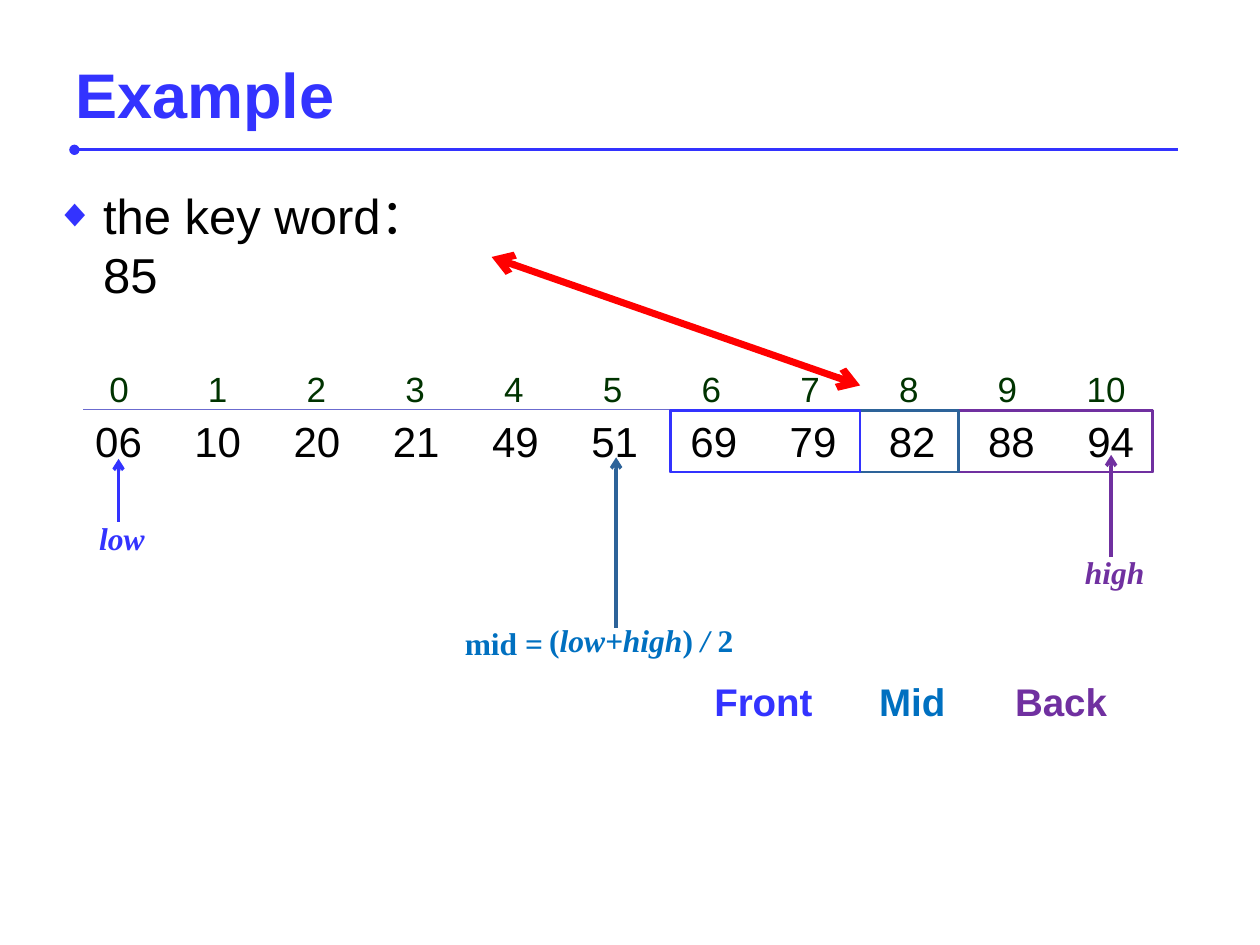
from lxml.etree import SubElement
from pptx import Presentation
from pptx.dml.color import RGBColor
from pptx.enum.shapes import MSO_CONNECTOR as Link, MSO_SHAPE as Shape
from pptx.enum.text import MSO_ANCHOR as Anchor, MSO_AUTO_SIZE as Fit, PP_ALIGN as Align
from pptx.oxml.ns import qn
from pptx.util import Cm, Pt

# Content
TITLE = "Example"
KEY_WORD = "the key word：85"
VALUES = ["06", "10", "20", "21", "49", "51", "69", "79", "82", "88", "94"]

THEME = {
    "sans": "Arial", "serif": "Times New Roman",
    "blue": "3333FF", "purple": "7030A0", "steel": "2D6399", "sky": "0070C0",
    "green": "003300", "rule": "6B6BCF", "red": "FF0000", "black": "000000",
    "title": 36, "body": 28, "value": 24, "index": 20, "region": 22, "pointer": 18,
}

# Lengths in cm
ROW_TOP, ROW_HEIGHT = 8.28, 1.24
RULE_LEFT, RULE_RIGHT, RULE_TOP = 1.68, 23.24, 8.25
VALUE_CENTER, VALUE_STEP = 2.41, 2.0
INDEX_CENTER, INDEX_STEP = 2.4, 1.99
FRONT_LEFT, MID_LEFT, BACK_LEFT = 13.52, 17.34, 19.33

# Left, right, colour of each outline
REGIONS = [
    (BACK_LEFT, RULE_RIGHT, "purple"),
    (FRONT_LEFT, RULE_RIGHT, "purple"),
    (MID_LEFT, BACK_LEFT, "steel"),
    (FRONT_LEFT, MID_LEFT, "blue"),
]
REGION_NAMES = [("Front", "blue"), ("Mid", "sky"), ("Back", "purple")]
# x, bottom, tip, colour
POINTERS = [
    (2.39, 10.52, 9.25, "blue"),
    (22.4, 11.23, 9.17, "purple"),
    (12.42, 12.65, 9.22, "steel"),
]
# Box, colour, (text, italic) spans
POINTER_LABELS = [
    ((1.75, 10.34, 1.47, 1.02), "blue", [("low", True)]),
    ((21.62, 11.02, 1.73, 1.02), "purple", [("high", True)]),
    ((10.82, 12.4, 4.27, 1.02), "sky",
     [("(", False), ("low+high", True), (") ", False), ("/ ", True), ("2", False)]),
    ((9.12, 12.45, 2.26, 1.02), "sky", [("mid =", False)]),
]

deck = Presentation()
deck.slide_width, deck.slide_height = Cm(25.4), Cm(19.05)
page = deck.slides.add_slide(deck.slide_layouts[6])


def color(name):
    return RGBColor.from_string(THEME[name])


def style_font(font, size, tint, face="sans", **flags):
    for name, value in {"name": THEME[face], "size": Pt(THEME[size]), **flags}.items():
        setattr(font, name, value)
    font.color.rgb = color(tint)


def add_text(place, spans, size, tint, face="sans", bold=False, align=Align.LEFT, **frame_format):
    box = page.shapes.add_textbox(*map(Cm, place))
    for name, value in {"word_wrap": True, **frame_format}.items():
        setattr(box.text_frame, name, value)
    para = box.text_frame.paragraphs[0]
    para.alignment = align
    for text, italic in spans:
        span = para.add_run()
        span.text = text
        style_font(span.font, size, tint, face, bold=bold, italic=italic)
    return para


def add_line(start, end, tint, width, head=None, tail=None):
    line = page.shapes.add_connector(Link.STRAIGHT, *map(Cm, (*start, *end)))
    line.line.color.rgb = color(tint)
    line.line.width = Pt(width)
    outline = line.line._get_or_add_ln()
    for tag, kind in (("a:headEnd", head), ("a:tailEnd", tail)):
        if kind:
            SubElement(outline, qn(tag), type=kind)
    SubElement(line._element.spPr, qn("a:effectLst"))


def add_outline(left, right, tint):
    rect = page.shapes.add_shape(
        Shape.RECTANGLE, *map(Cm, (left, ROW_TOP, right - left, ROW_HEIGHT)))
    rect.shadow.inherit = False
    rect.fill.background()
    rect.line.color.rgb = color(tint)
    rect.line.width = Pt(1.5)


def add_bullet(para, char, tint, percent, indent):
    props = para._p.get_or_add_pPr()
    props.set("marL", str(Cm(indent)))
    props.set("indent", str(-Cm(indent)))
    bullet_color = SubElement(props, qn("a:buClr"))
    SubElement(bullet_color, qn("a:srgbClr"), val=THEME[tint])
    SubElement(props, qn("a:buSzPct"), val=str(percent * 1000))
    SubElement(props, qn("a:buFont"), typeface=THEME["sans"])
    SubElement(props, qn("a:buChar"), char=char)


# Heading
add_line((1.5, 3.02), (23.75, 3.02), "blue", 1.5, head="oval")
add_text((1.27, 0.76, 22.86, 2.24), [(TITLE, False)], "title", "blue", bold=True,
         vertical_anchor=Anchor.MIDDLE)
key_para = add_text((0.86, 3.61, 9.58, 1.57), [(KEY_WORD, False)], "body", "black",
                    margin_right=Cm(1.25))
add_bullet(key_para, "◆", "blue", 80, 0.97)

# Sorted values below their indices
label_format = {"word_wrap": False, "auto_size": Fit.SHAPE_TO_FIT_TEXT}
for index, value in enumerate(VALUES):
    center = VALUE_CENTER + VALUE_STEP * index
    add_text((center - 0.74, 8.25, 1.48, 1.27), [(value, False)], "value", "black",
             **label_format)
    center = INDEX_CENTER + INDEX_STEP * index
    width = 0.53 + 0.39 * len(str(index))
    add_text((center - width / 2, 7.29, width, 1.12), [(str(index), False)], "index", "green",
             align=Align.CENTER, **label_format)
add_line((RULE_LEFT, RULE_TOP), (RULE_RIGHT, RULE_TOP), "rule", 0.75)

# Pointers and their labels
for x, bottom, tip, tint in POINTERS:
    add_line((x, bottom), (x, tip), tint, 2, tail="arrow")
for place, tint, spans in POINTER_LABELS:
    add_text(place, spans, "pointer", tint, "serif", bold=True, **label_format)

# Search regions and their names
for region in REGIONS:
    add_outline(*region)
for column, (name, tint) in enumerate(REGION_NAMES):
    add_text((13.94 + 3 * column, 13.54, 2.9, 1.14), [(name, False)], "region", tint,
             bold=True, align=Align.CENTER)

# Link from the key word to the middle region
add_line((MID_LEFT, 7.77), (9.91, 5.18), "red", 4, head="arrow", tail="arrow")

deck.save("out.pptx")
